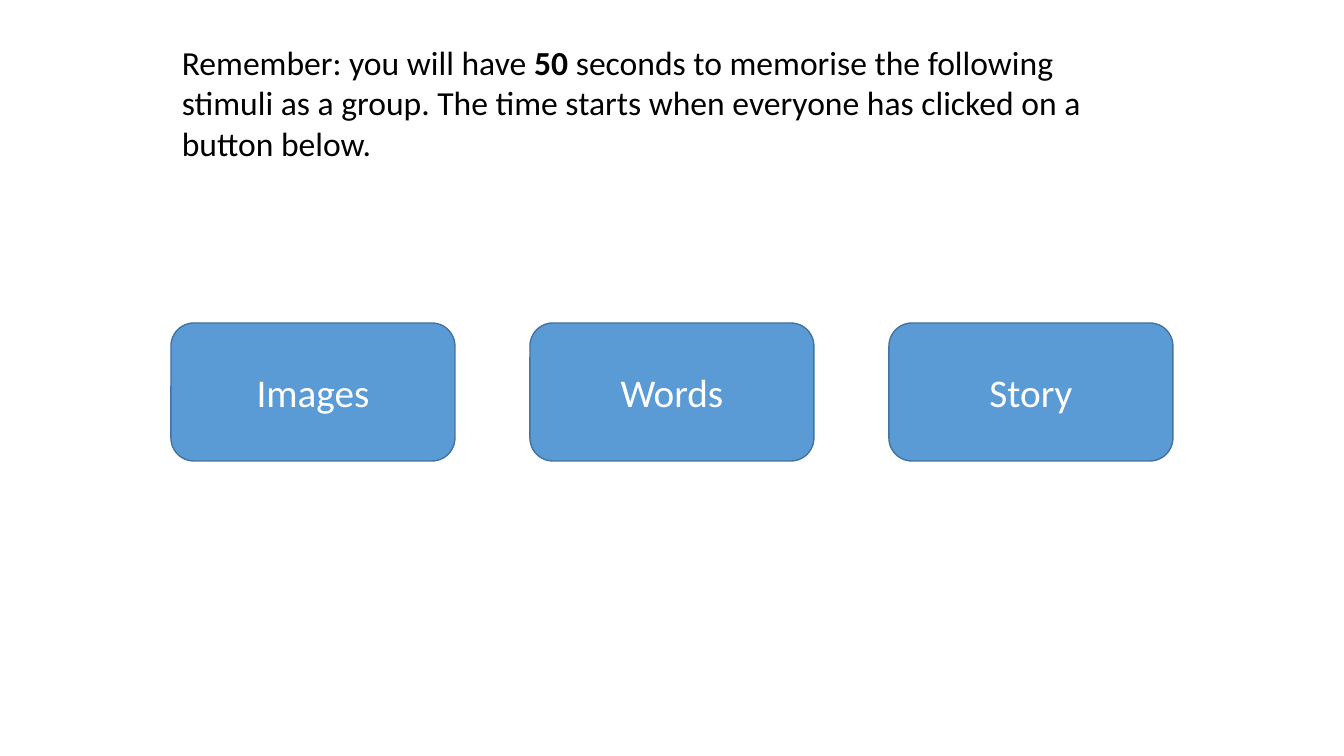
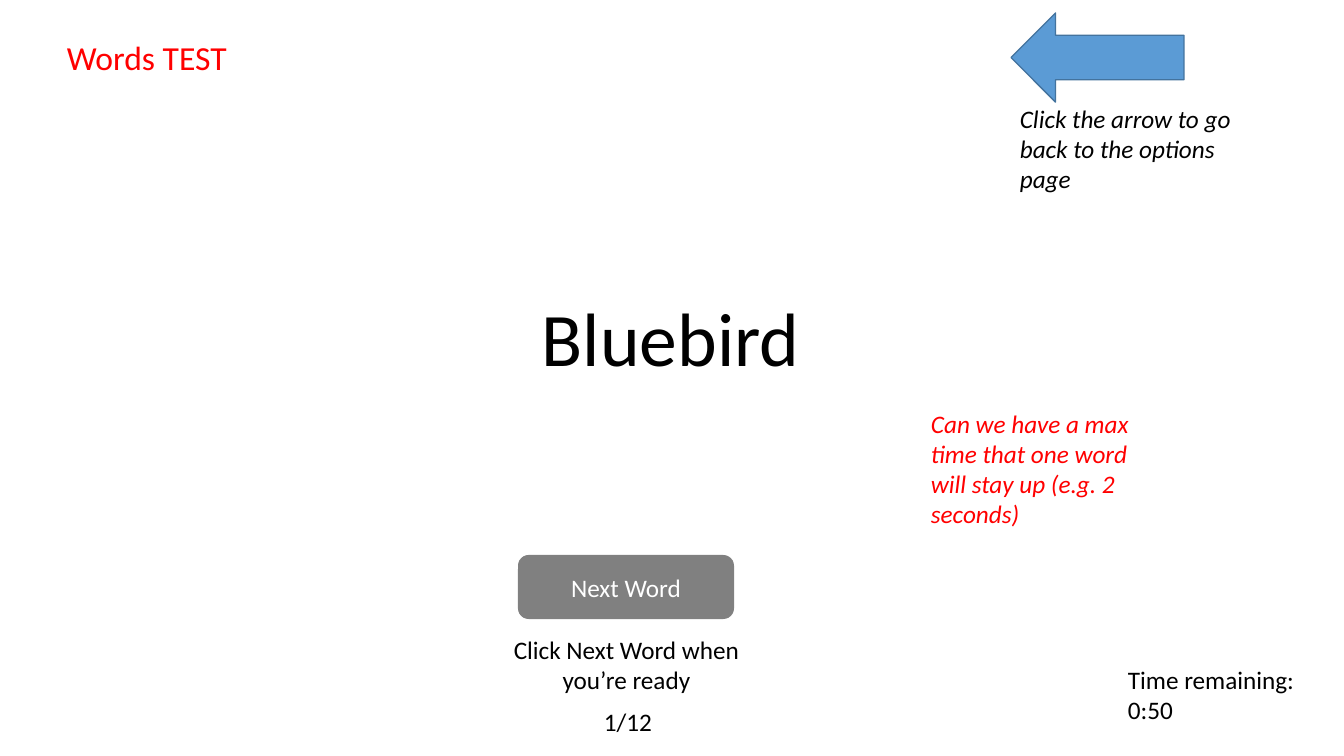
from pptx import Presentation
from pptx.dml.color import RGBColor
from pptx.enum.shapes import MSO_SHAPE as Shape
from pptx.enum.text import MSO_ANCHOR as Anchor, MSO_AUTO_SIZE as AutoSize, PP_ALIGN as Align
from pptx.util import Emu, Pt

# Content: a paragraph is a list of runs, a run is (text, bold)
INTRO = [[
    ("Remember: you will have ", False),
    ("50 ", True),
    ("seconds to memorise the following stimuli as a group. The time starts "
     "when everyone has clicked on a button below.", False),
]]
OPTIONS = ["Images", "Words", "Story"]

# Text, place (left, top, width, height), style
WORD_PAGE_TEXTS = [
    ("Bluebird", (532, 286, 313, 102), dict(size=54)),
    ("Words TEST", (57, 32, 312, 50), dict(size=24, color="red")),
    ("Click Next Word when you’re ready", (492, 629, 269, 72), dict(align=Align.CENTER)),
    ("Click the arrow to go back to the options page", (1010, 98, 235, 102),
     dict(italic=True)),
    ("Can we have a max time that one word will stay up (e.g. 2 seconds)",
     (921, 403, 218, 132), dict(italic=True, color="red")),
    ("1/12", (594, 701, 74, 40), {}),
    ("Time remaining:\n0:50", (1118, 659, 226, 72), {}),
]

# Shared look
COLORS = {
    "black": "000000", "white": "FFFFFF", "red": "FF0000",
    "blue": "5B9BD5", "edge": "43739E", "gray": "808080",
}
FONT = "Calibri"
PAGE_WIDTH, PAGE_HEIGHT = 1344, 756
SCALE = 914400 / 100.8

# Option buttons, evenly spaced
OPTION_LEFT, OPTION_TOP, OPTION_STEP = 171, 323, 359
OPTION_WIDTH, OPTION_HEIGHT = 284, 138


def emu(pixels):
    return Emu(round(pixels * SCALE))


def rgb(name):
    return RGBColor.from_string(COLORS[name])


def write(frame, paragraphs, size=18, color="black", italic=False, align=Align.LEFT):
    frame.word_wrap = True
    for index, runs in enumerate(paragraphs):
        para = frame.paragraphs[0] if index == 0 else frame.add_paragraph()
        para.alignment = align
        for text, bold in runs:
            span = para.add_run()
            span.text = text
            span.font.name = FONT
            span.font.size = Pt(size)
            span.font.bold = bold
            span.font.italic = italic
            span.font.color.rgb = rgb(color)


def plain(text):
    return [[(line, False)] for line in text.split("\n")]


def add_text(page, paragraphs, place, **style):
    box = page.shapes.add_textbox(*map(emu, place))
    write(box.text_frame, paragraphs, **style)
    box.text_frame.auto_size = AutoSize.SHAPE_TO_FIT_TEXT


def add_figure(page, kind, place, fill="blue", edge="edge"):
    figure = page.shapes.add_shape(kind, *map(emu, place))
    figure.shadow.inherit = False
    figure.fill.solid()
    figure.fill.fore_color.rgb = rgb(fill)
    if edge:
        figure.line.color.rgb = rgb(edge)
        figure.line.width = Pt(1)
    else:
        figure.line.fill.background()
    return figure


def add_button(page, label, place, size=18, **look):
    button = add_figure(page, Shape.ROUNDED_RECTANGLE, place, **look)
    button.text_frame.vertical_anchor = Anchor.MIDDLE
    write(button.text_frame, plain(label), size=size, color="white", align=Align.CENTER)


deck = Presentation()
deck.slide_width, deck.slide_height = emu(PAGE_WIDTH), emu(PAGE_HEIGHT)
blank = deck.slide_layouts[6]

# Options page
options_page = deck.slides.add_slide(blank)
for index, option in enumerate(OPTIONS):
    left = OPTION_LEFT + index * OPTION_STEP
    add_button(options_page, option, (left, OPTION_TOP, OPTION_WIDTH, OPTION_HEIGHT), size=28)
add_text(options_page, INTRO, (172, 37, 953, 132), size=24)

# Word page
word_page = deck.slides.add_slide(blank)
add_button(word_page, "Next Word", (518, 555, 216, 64), fill="gray", edge=None)
add_figure(word_page, Shape.LEFT_ARROW, (1011, 13, 173, 89))
for text, place, style in WORD_PAGE_TEXTS:
    add_text(word_page, plain(text), place, **style)

deck.save("out.pptx")
